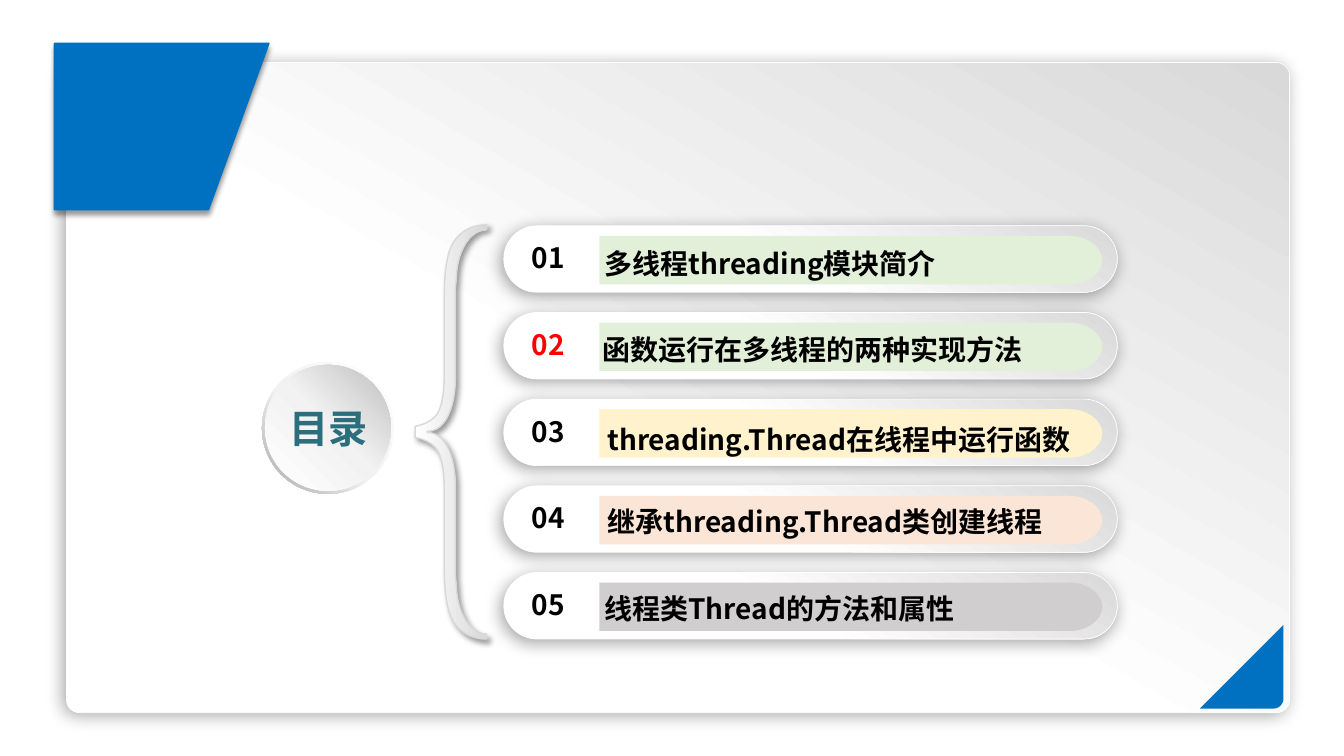
from dataclasses import dataclass

from pptx import Presentation
from pptx.dml.color import RGBColor
from pptx.enum.shapes import MSO_SHAPE
from pptx.enum.text import MSO_ANCHOR, MSO_AUTO_SIZE, PP_ALIGN
from pptx.oxml import parse_xml
from pptx.oxml.ns import nsdecls, qn
from pptx.util import Inches, Pt

ROUND, OVAL, DONUT = MSO_SHAPE.ROUNDED_RECTANGLE, MSO_SHAPE.OVAL, MSO_SHAPE.DONUT
TOP, CENTER = MSO_ANCHOR.TOP, PP_ALIGN.CENTER
FIXED, GROW = MSO_AUTO_SIZE.NONE, MSO_AUTO_SIZE.SHAPE_TO_FIT_TEXT


@dataclass(frozen=True)
class Theme:
    font: str = "Noto Sans CJK SC"
    head: int = 28
    body: int = 20
    blue: str = "0070C0"
    teal: str = "2B6F7D"
    black: str = "000000"
    red: str = "FF0000"
    white: str = "FFFFFF"
    edge: str = "D9D9D9"
    green: str = "E2F0D9"
    cream: str = "FFF2CC"
    peach: str = "FBE5D6"
    gray: str = "D0CECE"
    card: tuple = (300, (45, "FFFFFF"), (100, "D9D9D9"))
    rim: tuple = (135, (0, "FFFFFF"), (55, "F2F2F2"), (100, "A6A6A6"))
    disc: tuple = (315, (0, "FFFFFF"), (51, "F2F2F2"), (100, "BFBFBF"))
    fade: tuple = (0, (0, "FFFFFF"), (100, "D9D9D9"))
    soft: tuple = (34, 12, 3, 135)
    drop: tuple = (40, 4, 3, 90)
    side: tuple = (40, 4, 3, 45)


def trace(steps, count=12):
    """Turn points and cubic curve steps into a list of points."""
    points = []
    for step in steps:
        if len(step) == 2:
            points.append(step)
            continue
        ax, ay = points[-1]
        bx, by, cx, cy, dx, dy = step
        for i in range(1, count + 1):
            t = i / count
            u = 1 - t
            k = (u**3, 3 * u * u * t, 3 * u * t * t, t**3)
            points.append((k[0] * ax + k[1] * bx + k[2] * cx + k[3] * dx,
                           k[0] * ay + k[1] * by + k[2] * cy + k[3] * dy))
    return points


class Deck:
    """Holds the theme and the current slide."""

    def __init__(self, prs, theme):
        self.theme = theme
        self.slide = prs.slides.add_slide(prs.slide_layouts[5])

    def paint(self, shape, fill, line=None, width=1, shadow=None):
        props = shape._element.spPr
        if isinstance(fill, str):
            shape.fill.solid()
            shape.fill.fore_color.rgb = RGBColor.from_string(fill)
        else:
            angle, *stops = fill
            marks = "".join(f'<a:gs pos="{pos * 1000}"><a:srgbClr val="{tone}"/></a:gs>'
                            for pos, tone in stops)
            shape.fill.background()
            props.replace(props.find(qn("a:noFill")), parse_xml(
                f'<a:gradFill {nsdecls("a")} rotWithShape="1"><a:gsLst>{marks}</a:gsLst>'
                f'<a:lin ang="{angle * 60000}" scaled="0"/></a:gradFill>'))
        if line:
            shape.line.color.rgb = RGBColor.from_string(line)
            shape.line.width = Pt(width)
        else:
            shape.line.fill.background()
        shape.shadow.inherit = False
        if shadow:
            alpha, blur, dist, angle = shadow
            props.find(qn("a:effectLst")).append(parse_xml(
                f'<a:outerShdw {nsdecls("a")} blurRad="{Pt(blur)}" dist="{Pt(dist)}" '
                f'dir="{angle * 60000}" algn="ctr" rotWithShape="0">'
                f'<a:srgbClr val="{self.theme.black}"><a:alpha val="{alpha * 1000}"/>'
                '</a:srgbClr></a:outerShdw>'))

    def shape(self, kind, box, fill, adjust=None, **style):
        item = self.slide.shapes.add_shape(kind, *map(Inches, box))
        if adjust is not None:
            item.adjustments[0] = adjust
        self.paint(item, fill, **style)

    def free(self, points, fill, **style):
        spots = [(Inches(x), Inches(y)) for x, y in points]
        maker = self.slide.shapes.build_freeform(*spots[0], scale=1.0)
        maker.add_line_segments(spots[1:], close=True)
        self.paint(maker.convert_to_shape(), fill, **style)

    def label(self, frame, text, size, color):
        para = frame.paragraphs[0]
        para.text = text
        font = para.font
        font.name, font.size, font.bold = self.theme.font, Pt(size), True
        font.color.rgb = RGBColor.from_string(color)
        font._element.find(qn("a:latin")).addnext(parse_xml(
            f'<a:ea {nsdecls("a")} typeface="{self.theme.font}"/>'))
        return para

    def text(self, box, text, color):
        frame = self.slide.shapes.add_textbox(*map(Inches, box)).text_frame
        frame.word_wrap = False
        frame.auto_size = GROW
        self.label(frame, text, self.theme.body, color)

    def title(self, box, text):
        item = self.slide.shapes.title
        item.left, item.top, item.width, item.height = map(Inches, box)
        frame = item.text_frame
        frame.margin_left = frame.margin_right = frame.margin_top = frame.margin_bottom = 0
        frame.vertical_anchor = TOP
        frame.auto_size = FIXED
        self.label(frame, text, self.theme.head, self.theme.teal).alignment = CENTER
        self.slide.shapes._spTree.append(item._element)

    def row(self, top, mark, tone, color, text, left, drop, width):
        theme = self.theme
        self.shape(ROUND, (5, top, 6.09, 0.66), theme.card, 0.5,
                   line=theme.white, width=0.5, shadow=theme.soft)
        high, mid, low = top + 0.1, top + 0.34, top + 0.58
        self.free(trace([(5.95, high), (10.62, high),
                         (10.79, high, 10.94, high + 0.11, 10.94, mid),
                         (10.94, low - 0.11, 10.79, low, 10.62, low),
                         (5.95, low)]), tone)
        self.text((5.18, high, 0.55, 0.44), mark, color)
        self.text((left, top + drop, width, 0.44), text, theme.black)


def main():
    theme = Theme()
    prs = Presentation()
    prs.slide_width, prs.slide_height = Inches(13.34), Inches(7.5)
    deck = Deck(prs, theme)

    deck.shape(ROUND, (0.66, 0.62, 12.14, 6.45), theme.card, 0.02,
               line=theme.white, width=0.5, shadow=theme.soft)
    deck.free(trace([(12.74, 6.2), (12.74, 6.93),
                     (12.74, 6.98, 12.7, 7.03, 12.64, 7.03), (11.91, 7.03)]), theme.blue)
    deck.free([(2.67, 0.43), (0.54, 0.43), (0.54, 2.08), (2.07, 2.08)], theme.blue,
              line=theme.blue, shadow=theme.drop)

    deck.shape(DONUT, (2.6, 3.59, 1.31, 1.31), theme.rim, 0.05)
    deck.shape(OVAL, (2.63, 3.62, 1.25, 1.25), theme.disc)
    deck.title((2.57, 4.01, 1.38, 0.47), "目录")

    half = trace([(4.12, 4.23), (4.23, 4.21, 4.31, 4.16, 4.35, 4.09),
                  (4.39, 4.01, 4.41, 3.89, 4.41, 3.72), (4.41, 2.94),
                  (4.41, 2.68, 4.44, 2.49, 4.51, 2.39),
                  (4.58, 2.29, 4.69, 2.23, 4.83, 2.23), (4.83, 2.28),
                  (4.67, 2.28, 4.54, 2.48, 4.53, 2.75), (4.52, 2.87), (4.52, 3.76),
                  (4.52, 4, 4.44, 4.28, 4.24, 4.28)])
    deck.free(half + [(x, 8.57 - y) for x, y in reversed(half)], theme.fade,
              line=theme.edge, shadow=theme.side)

    rows = [
        (theme.green, theme.black, "多线程threading模块简介", 5.9, 0.16, 3.92),
        (theme.green, theme.red, "函数运行在多线程的两种实现方法", 5.88, 0.15, 4.97),
        (theme.cream, theme.black, "threading.Thread在线程中运行函数", 5.93, 0.18, 5.4),
        (theme.peach, theme.black, "继承threading.Thread类创建线程", 5.93, 0.14, 5.09),
        (theme.gray, theme.black, "线程类Thread的方法和属性", 5.9, 0.14, 4.11),
    ]
    for i, row in enumerate(rows):
        deck.row(2.24 + 0.86 * i, f"{i + 1:02}", *row)

    prs.save("out.pptx")


if __name__ == "__main__":
    main()
